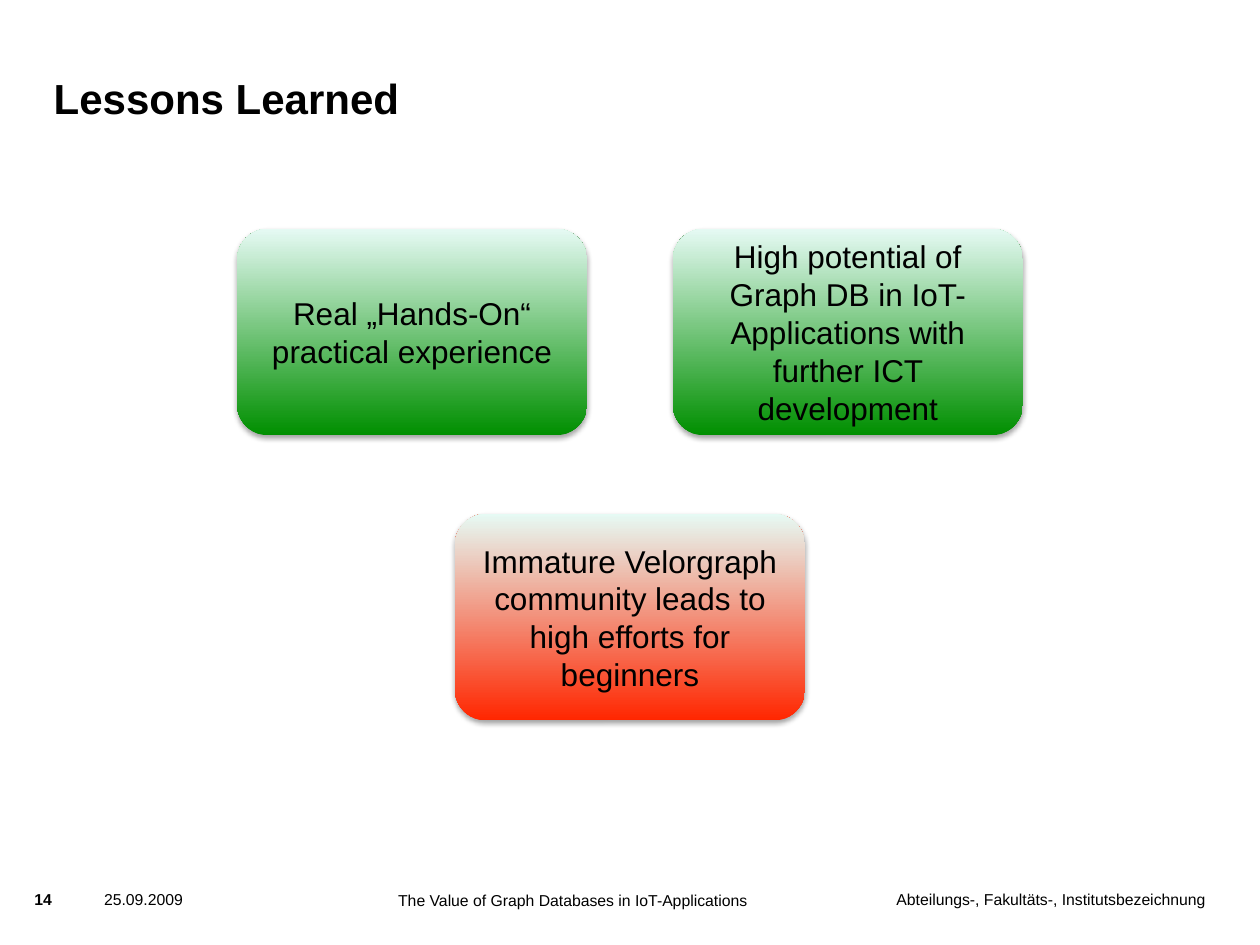
from dataclasses import dataclass

from lxml.etree import SubElement
from pptx import Presentation
from pptx.dml.color import RGBColor
from pptx.enum.shapes import MSO_SHAPE
from pptx.enum.text import MSO_ANCHOR, PP_ALIGN
from pptx.oxml.ns import qn
from pptx.slide import Slide
from pptx.text.text import TextFrame
from pptx.util import Pt


@dataclass(frozen=True)
class Theme:
    font: str = "Arial"
    text: RGBColor = RGBColor(0x00, 0x00, 0x00)
    highlight: RGBColor = RGBColor(0xE6, 0xFA, 0xF4)
    positive: RGBColor = RGBColor(0x00, 0x8F, 0x00)
    negative: RGBColor = RGBColor(0xFF, 0x26, 0x00)
    title_size: float = 24
    card_size: float = 18
    footer_size: float = 9


@dataclass(frozen=True)
class Label:
    text: str
    left: float
    top: float
    width: float
    height: float
    size: float
    bold: bool = False
    wrap: bool = True
    space_before: float = 0
    align: PP_ALIGN = PP_ALIGN.LEFT
    anchor: MSO_ANCHOR = MSO_ANCHOR.TOP


@dataclass(frozen=True)
class Card:
    text: str
    center_x: float
    top: float
    color: RGBColor


THEME = Theme()
SLIDE_WIDTH, SLIDE_HEIGHT = 720, 540
CARD_WIDTH, CARD_HEIGHT = 200, 118
COLUMN_OFFSET = 124.5
CENTER = SLIDE_WIDTH / 2
UPPER_ROW, LOWER_ROW = 130.7, 293.7
FOOTER_TOP, FOOTER_HEIGHT, FOOTER_SPACE = 508.3, 10, 5

LABELS = [
    Label("Abteilungs-, Fakultäts-, Institutsbezeichnung", 473, FOOTER_TOP, 215.8,
          FOOTER_HEIGHT, THEME.footer_size, space_before=FOOTER_SPACE, align=PP_ALIGN.RIGHT),
    Label("25.09.2009", 59.5, FOOTER_TOP, 64, FOOTER_HEIGHT, THEME.footer_size,
          space_before=FOOTER_SPACE),
    Label("The Value of Graph Databases in IoT-Applications", 227.5, FOOTER_TOP + 0.7, 265,
          FOOTER_HEIGHT, THEME.footer_size, space_before=FOOTER_SPACE),
    Label("14", 19.7, FOOTER_TOP, 11, FOOTER_HEIGHT, THEME.footer_size, bold=True,
          wrap=False, space_before=FOOTER_SPACE),
    Label("Lessons Learned", 30.7, 26, 544, 44, THEME.title_size, bold=True,
          anchor=MSO_ANCHOR.BOTTOM),
]

CARDS = [
    Card("Real „Hands-On“ practical experience", CENTER - COLUMN_OFFSET, UPPER_ROW,
         THEME.positive),
    Card("High potential of Graph DB in IoT-Applications with further ICT development",
         CENTER + COLUMN_OFFSET, UPPER_ROW, THEME.positive),
    Card("Immature Velorgraph community leads to high efforts for beginners", CENTER,
         LOWER_ROW, THEME.negative),
]


def write_text(frame: TextFrame, text: str, size: float, align: PP_ALIGN,
               anchor: MSO_ANCHOR, margin: float, bold: bool = False,
               wrap: bool = True, space_before: float = 0) -> None:
    frame.word_wrap = wrap
    frame.vertical_anchor = anchor
    frame.margin_left = frame.margin_right = Pt(margin)
    frame.margin_top = frame.margin_bottom = Pt(margin)
    paragraph = frame.paragraphs[0]
    paragraph.text = text
    paragraph.alignment = align
    paragraph.space_before = Pt(space_before)
    paragraph.font.name = THEME.font
    paragraph.font.size = Pt(size)
    paragraph.font.bold = bold
    paragraph.font.color.rgb = THEME.text


def add_label(slide: Slide, label: Label) -> None:
    box = slide.shapes.add_textbox(Pt(label.left), Pt(label.top), Pt(label.width),
                                   Pt(label.height))
    write_text(box.text_frame, label.text, label.size, label.align, label.anchor, 0,
               label.bold, label.wrap, label.space_before)


def add_card(slide: Slide, card: Card) -> None:
    shape = slide.shapes.add_shape(
        MSO_SHAPE.ROUNDED_RECTANGLE, Pt(card.center_x - CARD_WIDTH / 2), Pt(card.top),
        Pt(CARD_WIDTH), Pt(CARD_HEIGHT))
    shape.adjustments[0] = 0.15
    shape.line.fill.background()
    shape.fill.gradient()
    shape.fill.gradient_angle = 90
    for stop, color in zip(shape.fill.gradient_stops, (card.color, THEME.highlight)):
        stop.color.rgb = color
    shape.shadow.inherit = False
    effects = shape.element.spPr.find(qn("a:effectLst"))
    shadow = SubElement(effects, qn("a:outerShdw"), blurRad=str(Pt(3)),
                        dist=str(Pt(1.8)), dir="5400000", rotWithShape="0")
    shadow_color = SubElement(shadow, qn("a:srgbClr"), val=str(THEME.text))
    SubElement(shadow_color, qn("a:alpha"), val="35000")
    write_text(shape.text_frame, card.text, THEME.card_size, PP_ALIGN.CENTER,
               MSO_ANCHOR.MIDDLE, 3.6)


def main() -> None:
    presentation = Presentation()
    presentation.slide_width = Pt(SLIDE_WIDTH)
    presentation.slide_height = Pt(SLIDE_HEIGHT)
    slide = presentation.slides.add_slide(presentation.slide_layouts[6])
    for label in LABELS:
        add_label(slide, label)
    for card in CARDS:
        add_card(slide, card)
    presentation.save("out.pptx")


if __name__ == "__main__":
    main()
